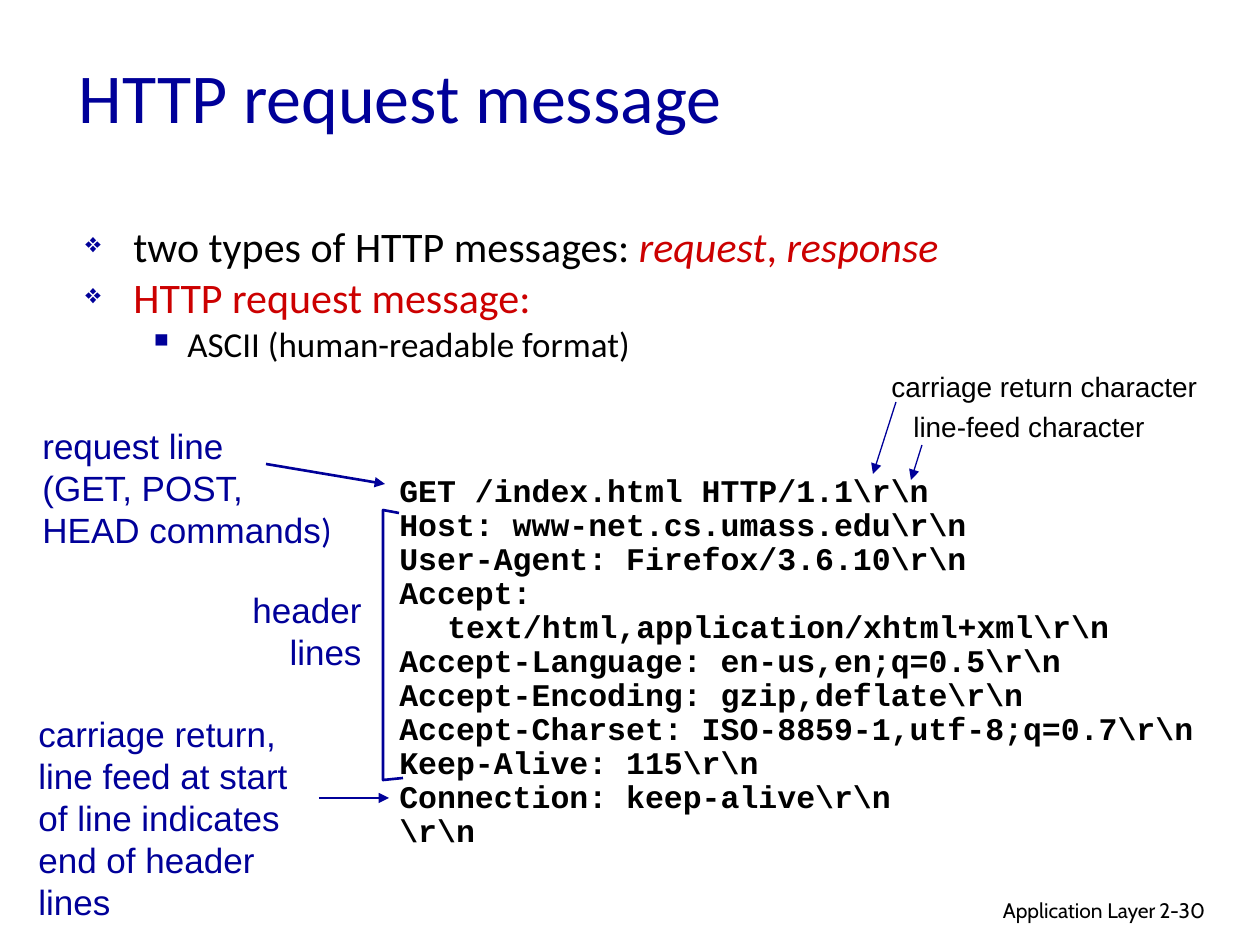
from dataclasses import dataclass

from lxml import etree
from pptx import Presentation, util as u
from pptx.dml.color import RGBColor
from pptx.enum import shapes, text
from pptx.oxml.ns import qn

PX = u.Inches(1) / 126
NAVY = RGBColor(0x00, 0x00, 0x99)
RED = RGBColor(0xCC, 0x00, 0x00)
BLACK = RGBColor(0x00, 0x00, 0x00)
LEFT, RIGHT = text.PP_ALIGN.LEFT, text.PP_ALIGN.RIGHT
HANG = 48


@dataclass
class Run:
    text: str
    color: RGBColor = BLACK
    italic: bool = False
    font: str = ""


@dataclass
class Item:
    runs: list[Run]
    size: int
    mark: str
    scale: int
    indent: int
    hang: int
    level: int = 0
    before: float = 0


@dataclass
class Note:
    box: tuple[int, int, int, int]
    lines: list[str | Run]
    size: int = 20
    color: RGBColor = NAVY
    font: str = "Arial"
    align: text.PP_ALIGN = LEFT


@dataclass
class Arrow:
    start: tuple[int, int]
    end: tuple[int, int]
    width: float


ITEMS = [
    Item([Run("two types of HTTP messages: "), Run("request", RED, True),
          Run(", ", RED), Run("response", RED, True)], 24, "❖", 65, 48, 48),
    Item([Run("HTTP request message:", RED)], 24, "❖", 65, 48, 48, before=4.8),
    Item([Run("ASCII (human-readable format)")], 20, "▪", 100, 102, 39, 1, 4),
]
CODE = [
    "GET /index.html HTTP/1.1",
    "Host: www-net.cs.umass.edu",
    "User-Agent: Firefox/3.6.10",
    "Accept: text/html,application/xhtml+xml",
    "Accept-Language: en-us,en;q=0.5",
    "Accept-Encoding: gzip,deflate",
    "Accept-Charset: ISO-8859-1,utf-8;q=0.7",
    "Keep-Alive: 115",
    "Connection: keep-alive",
    "",
]
NOTES = [
    Note((769, 891, 399, 39), ["Application Layer"], 12, BLACK, "Cabin", RIGHT),
    Note((1147, 891, 93, 38), ["2-30"], 12, BLACK, "Cabin"),
    Note((30, 418, 325, 139), ["request line", "(GET, POST,", "HEAD commands"]),
    Note((229, 582, 145, 97), ["header", "lines"], align=RIGHT),
    Note((26, 706, 314, 180), ["carriage return,", "line feed at start",
                               "of line indicates", "end of header lines"]),
    Note((879, 363, 340, 47), ["carriage return character"], 16, BLACK),
    Note((901, 403, 265, 47), ["line-feed character"], 16, BLACK),
]
ARROWS = [
    Arrow((266, 464), (385, 484), 1.5),
    Arrow((319, 798), (389, 798), 1.5),
    Arrow((896, 402), (873, 474), 0.75),
    Arrow((922, 445), (911, 480), 0.75),
]
BRACKET = [(399, 513), (383, 510), (383, 780), (403, 778)]


def px(*nums: int) -> list[int]:
    return [round(n * PX) for n in nums]


def write(para, words: str, *, size=20, color=BLACK, font="Calibri",
          bold=False, italic=False) -> None:
    run = para.add_run()
    run.text = words
    face = run.font
    face.size, face.name = u.Pt(size), font
    face.bold, face.italic = bold, italic
    face.color.rgb = color


def indent(para, left: int, hang: int) -> None:
    props = para._p.get_or_add_pPr()
    props.set("marL", str(px(left)[0]))
    props.set("indent", str(-px(hang)[0]))


def bullet(para, mark: str, scale: int) -> None:
    props = para._p.get_or_add_pPr()
    tint = etree.SubElement(props, qn("a:buClr"))
    etree.SubElement(tint, qn("a:srgbClr"), val=str(NAVY))
    etree.SubElement(props, qn("a:buSzPct"), val=str(scale * 1000))
    etree.SubElement(props, qn("a:buChar"), char=mark)


def add_box(slide, box: tuple[int, int, int, int]):
    frame = slide.shapes.add_textbox(*px(*box)).text_frame
    frame.word_wrap = True
    return frame


def get_para(frame, index: int):
    return frame.add_paragraph() if index else frame.paragraphs[0]


def add_title(slide, words: str) -> None:
    title = slide.shapes.title
    title.left, title.top, title.width, title.height = px(66, 33, 1071, 126)
    frame = title.text_frame
    frame.auto_size = text.MSO_AUTO_SIZE.NONE
    frame.vertical_anchor = text.MSO_ANCHOR.MIDDLE
    para = frame.paragraphs[0]
    para.alignment = LEFT
    write(para, words, size=40, color=NAVY)


def add_items(slide, items: list[Item]) -> None:
    frame = add_box(slide, (73, 222, 1071, 640))
    for i, item in enumerate(items):
        para = get_para(frame, i)
        para.level = item.level
        indent(para, item.indent, item.hang)
        bullet(para, item.mark, item.scale)
        para.line_spacing = 0.85
        para.space_before = u.Pt(item.before)
        for run in item.runs:
            write(para, run.text, size=item.size, color=run.color,
                  italic=run.italic)


def add_code(slide, lines: list[str]) -> None:
    frame = add_box(slide, (387, 469, 834, 354))
    for i, line in enumerate(lines):
        para = get_para(frame, i)
        indent(para, HANG, HANG)
        para.line_spacing = 0.9
        write(para, line + r"\r\n", size=18, font="Courier New", bold=True)


def add_note(slide, note: Note) -> None:
    frame = add_box(slide, note.box)
    for i, line in enumerate(note.lines):
        para = get_para(frame, i)
        para.alignment = note.align
        write(para, line, size=note.size, color=note.color, font=note.font)
        if line == "HEAD commands":
            write(para, ")", size=note.size, color=note.color)


def add_arrow(slide, arrow: Arrow) -> None:
    line = slide.shapes.add_connector(
        shapes.MSO_CONNECTOR.STRAIGHT, *px(*arrow.start, *arrow.end))
    line.line.color.rgb = NAVY
    line.line.width = u.Pt(arrow.width)
    etree.SubElement(line.line._get_or_add_ln(), qn("a:tailEnd"), type="triangle")
    etree.SubElement(line._element.spPr, qn("a:effectLst"))


def add_bracket(slide, points: list[tuple[int, int]]) -> None:
    path = slide.shapes.build_freeform(*points[0], scale=PX)
    path.add_line_segments(points[1:], close=False)
    shape = path.convert_to_shape()
    shape.shadow.inherit = False
    shape.fill.background()
    shape.line.color.rgb = NAVY
    shape.line.width = u.Pt(1.5)


def main() -> None:
    deck = Presentation()
    deck.slide_width, deck.slide_height = px(1260, 945)
    slide = deck.slides.add_slide(deck.slide_layouts[5])
    add_title(slide, "HTTP request message")
    add_items(slide, ITEMS)
    add_code(slide, CODE)
    add_bracket(slide, BRACKET)
    for note in NOTES:
        add_note(slide, note)
    for arrow in ARROWS:
        add_arrow(slide, arrow)
    deck.save("out.pptx")


if __name__ == "__main__":
    main()
